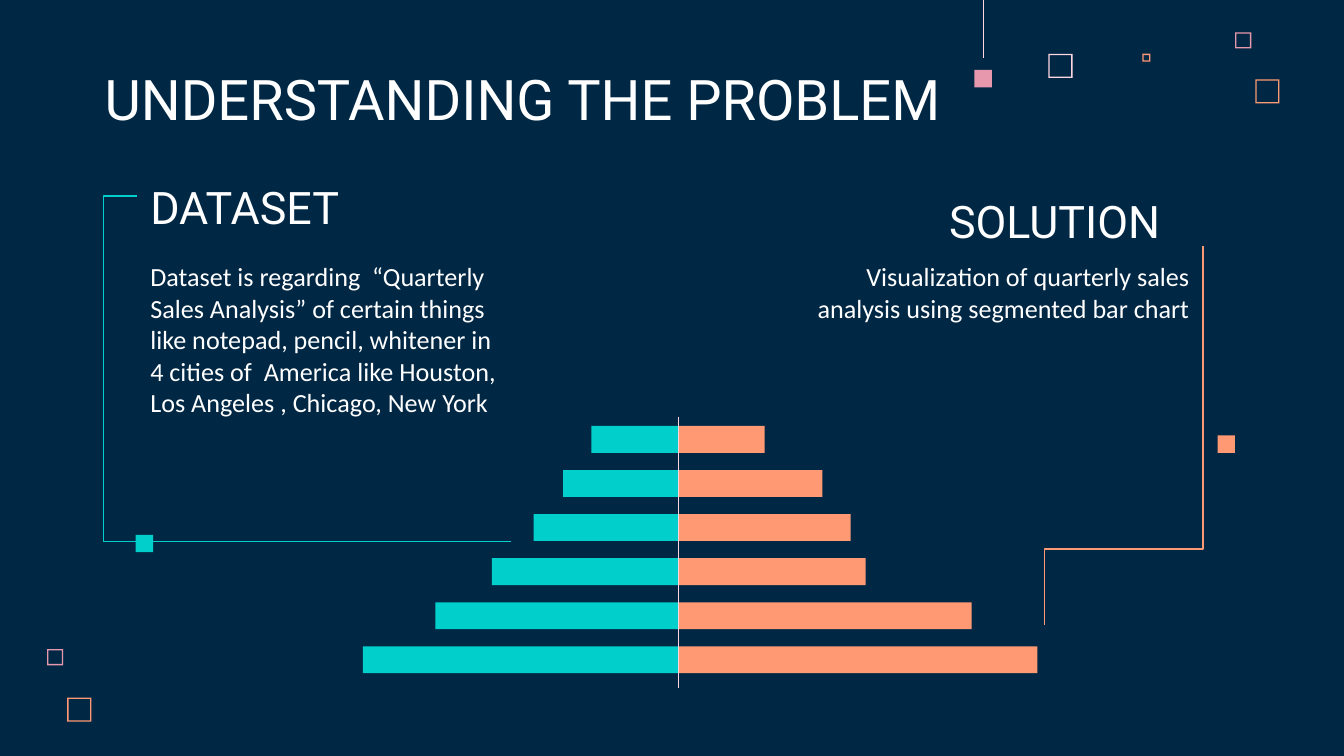
from dataclasses import dataclass

from lxml.etree import SubElement
from pptx import Presentation
from pptx.dml.color import RGBColor
from pptx.enum.shapes import MSO_CONNECTOR, MSO_SHAPE
from pptx.enum.text import MSO_ANCHOR, PP_ALIGN
from pptx.oxml.ns import qn
from pptx.util import Inches, Pt


@dataclass(frozen=True)
class Theme:
    background: str = "002845"
    white: str = "FFFFFF"
    teal: str = "00CFCC"
    orange: str = "FF9973"
    pink: str = "E898AC"
    pale_pink: str = "FFD6E1"
    heading_font: str = "Roboto"
    body_font: str = "Calibri"
    title_size: int = 30
    heading_size: int = 24
    body_size: int = 14
    line_width: float = 0.75


@dataclass(frozen=True)
class TextBlock:
    text: str
    left: float
    top: float
    width: float
    height: float
    size: int
    font: str
    anchor: MSO_ANCHOR = MSO_ANCHOR.BOTTOM
    alignment: PP_ALIGN = PP_ALIGN.LEFT


@dataclass(frozen=True)
class Square:
    left: float
    top: float
    size: float
    color: str


@dataclass(frozen=True)
class BarPair:
    left_width: float
    right_width: float


THEME = Theme()
SLIDE_WIDTH = Inches(10)
SLIDE_HEIGHT = SLIDE_WIDTH * 9 // 16
AXIS_X = 5.05
FIRST_BAR_TOP = 3.17
LAST_BAR_TOP = 4.81
BAR_HEIGHT = 0.2
FRAME_THICKNESS = 0.01

TEXT_BLOCKS = [
    TextBlock("UNDERSTANDING THE PROBLEM", 0.68, 0.45, 6.73, 0.63,
              THEME.title_size, THEME.heading_font),
    TextBlock("DATASET", 1.02, 1.08, 1.97, 0.76,
              THEME.heading_size, THEME.heading_font),
    TextBlock("Dataset is regarding  “Quarterly Sales Analysis” of certain things "
              "like notepad, pencil, whitener in 4 cities of  America like Houston, "
              "Los Angeles , Chicago, New York", 1.02, 1.84, 2.87, 1.69,
              THEME.body_size, THEME.body_font, MSO_ANCHOR.TOP),
    TextBlock("SOLUTION", 6.91, 1.31, 1.82, 0.63,
              THEME.heading_size, THEME.heading_font, alignment=PP_ALIGN.RIGHT),
    TextBlock("Visualization of quarterly sales analysis using segmented bar chart",
              5.96, 1.84, 2.99, 1.22, THEME.body_size, THEME.body_font,
              MSO_ANCHOR.TOP, PP_ALIGN.RIGHT),
]

HOLLOW_SQUARES = [
    Square(7.8, 0.4, 0.18, THEME.pale_pink),
    Square(9.19, 0.24, 0.12, THEME.pink),
    Square(8.5, 0.4, 0.06, THEME.orange),
    Square(9.34, 0.59, 0.18, THEME.orange),
    Square(0.35, 4.83, 0.12, THEME.pink),
    Square(0.5, 5.19, 0.18, THEME.orange),
]

SOLID_SQUARES = [
    Square(7.25, 0.52, 0.13, THEME.pink),
    Square(1.01, 3.98, 0.13, THEME.teal),
    Square(9.06, 3.24, 0.13, THEME.orange),
]

BAR_PAIRS = [
    BarPair(0.65, 0.64),
    BarPair(0.86, 1.07),
    BarPair(1.08, 1.28),
    BarPair(1.39, 1.39),
    BarPair(1.81, 2.18),
    BarPair(2.35, 2.67),
]
BAR_PITCH = (LAST_BAR_TOP - FIRST_BAR_TOP) / (len(BAR_PAIRS) - 1)


def add_block(slide, kind: MSO_SHAPE, left: float, top: float,
              width: float, height: float, color: str):
    shape = slide.shapes.add_shape(
        kind, Inches(left), Inches(top), Inches(width), Inches(height))
    shape.shadow.inherit = False
    shape.fill.solid()
    shape.fill.fore_color.rgb = RGBColor.from_string(color)
    shape.line.fill.background()
    return shape


def add_hollow_square(slide, square: Square) -> None:
    shape = add_block(slide, MSO_SHAPE.FRAME, square.left, square.top,
                      square.size, square.size, square.color)
    shape.adjustments[0] = FRAME_THICKNESS / square.size


def add_solid_square(slide, square: Square) -> None:
    add_block(slide, MSO_SHAPE.RECTANGLE, square.left, square.top,
              square.size, square.size, square.color)


def add_bar_pair(slide, row: int, pair: BarPair) -> None:
    top = FIRST_BAR_TOP + row * BAR_PITCH
    add_block(slide, MSO_SHAPE.RECTANGLE, AXIS_X, top,
              pair.right_width, BAR_HEIGHT, THEME.orange)
    add_block(slide, MSO_SHAPE.RECTANGLE, AXIS_X - pair.left_width, top,
              pair.left_width, BAR_HEIGHT, THEME.teal)


def add_line(slide, kind: MSO_CONNECTOR, start: tuple[float, float],
             end: tuple[float, float], color: str):
    connector = slide.shapes.add_connector(
        kind, Inches(start[0]), Inches(start[1]), Inches(end[0]), Inches(end[1]))
    connector.line.color.rgb = RGBColor.from_string(color)
    connector.line.width = Pt(THEME.line_width)
    SubElement(connector._element.spPr, qn("a:effectLst"))
    return connector


def add_elbow(slide, start: tuple[float, float], end: tuple[float, float],
              color: str, bend: float, rotation: int = 0) -> None:
    connector = add_line(slide, MSO_CONNECTOR.ELBOW, start, end, color)
    properties = connector._element.spPr
    properties.find(qn("a:xfrm")).set("rot", str(rotation * 60000))
    geometry = properties.find(qn("a:prstGeom"))
    adjustments = geometry.find(qn("a:avLst"))
    if adjustments is None:
        adjustments = SubElement(geometry, qn("a:avLst"))
    SubElement(adjustments, qn("a:gd"), name="adj1",
               fmla=f"val {round(bend * 100000)}")


def add_text(slide, block: TextBlock) -> None:
    shape = slide.shapes.add_textbox(Inches(block.left), Inches(block.top),
                                     Inches(block.width), Inches(block.height))
    text_frame = shape.text_frame
    text_frame.word_wrap = True
    text_frame.vertical_anchor = block.anchor
    text_frame.margin_left = text_frame.margin_right = Inches(0.1)
    text_frame.margin_top = text_frame.margin_bottom = Inches(0.1)
    text_frame.text = block.text
    paragraph = text_frame.paragraphs[0]
    paragraph.alignment = block.alignment
    font = paragraph.runs[0].font
    font.name = block.font
    font.size = Pt(block.size)
    font.color.rgb = RGBColor.from_string(THEME.white)


def main() -> None:
    presentation = Presentation()
    presentation.slide_width = SLIDE_WIDTH
    presentation.slide_height = SLIDE_HEIGHT
    slide = presentation.slides.add_slide(presentation.slide_layouts[6])
    slide.background.fill.solid()
    slide.background.fill.fore_color.rgb = RGBColor.from_string(THEME.background)

    for square in HOLLOW_SQUARES:
        add_hollow_square(slide, square)
    add_line(slide, MSO_CONNECTOR.STRAIGHT, (7.32, 0), (7.32, 0.43), THEME.pale_pink)
    for block in TEXT_BLOCKS:
        add_text(slide, block)
    for row, pair in enumerate(BAR_PAIRS):
        add_bar_pair(slide, row, pair)
    add_line(slide, MSO_CONNECTOR.STRAIGHT, (AXIS_X, 3.1), (AXIS_X, 5.12), THEME.pale_pink)
    add_elbow(slide, (1.02, 1.46), (3.8, 4.03), THEME.teal, -0.09)
    add_elbow(slide, (6.95, 2.65), (9.77, 3.83), THEME.orange, 0.8, rotation=90)
    for square in SOLID_SQUARES:
        add_solid_square(slide, square)

    presentation.save("out.pptx")


if __name__ == "__main__":
    main()
